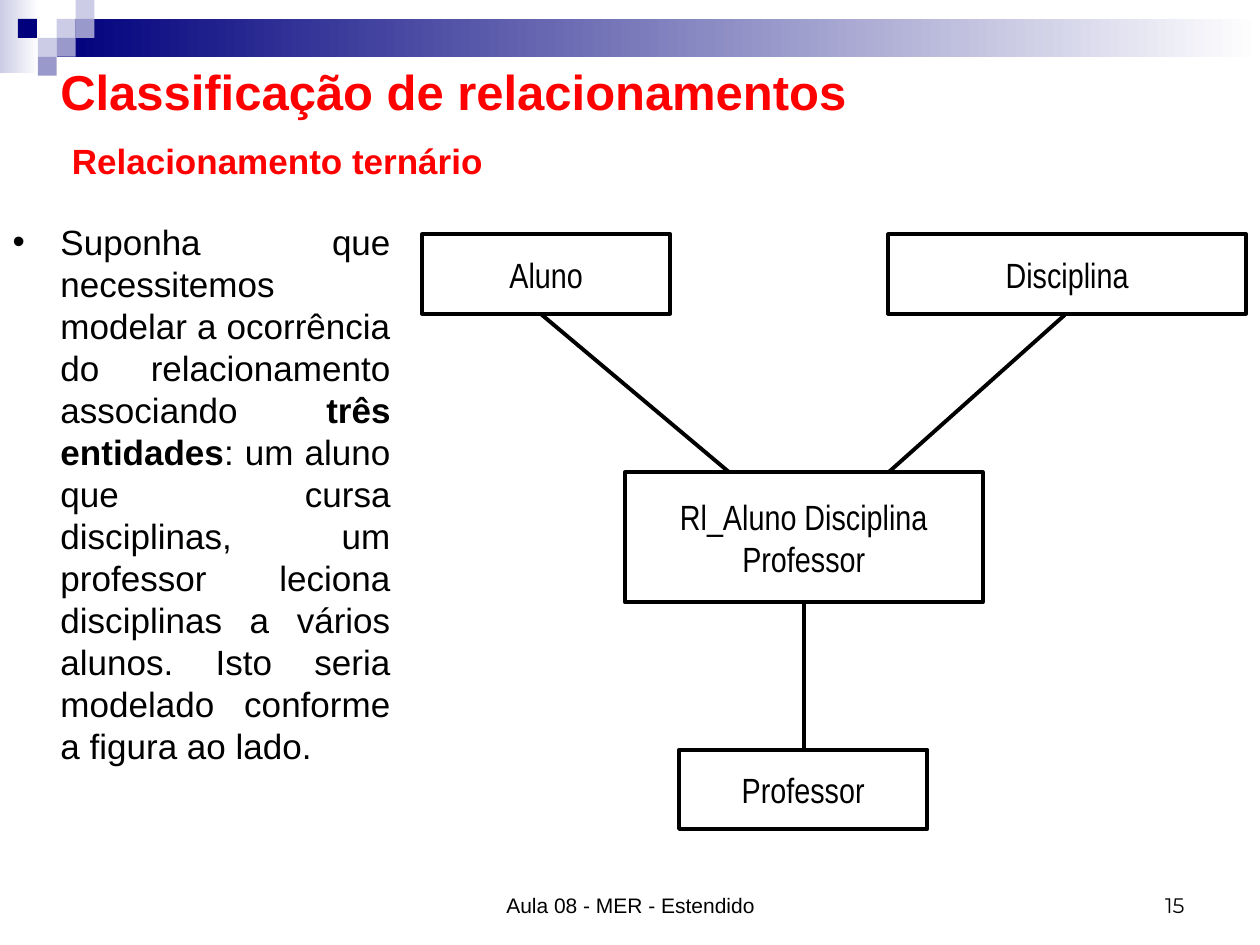
import pptx
import pptx.util
import pptx.dml.color
import pptx.enum.shapes
import pptx.enum.text
import pptx.oxml
import pptx.oxml.ns
import lxml.etree

Inches = pptx.util.Inches
Align = pptx.enum.text.PP_ALIGN
Anchor = pptx.enum.text.MSO_ANCHOR
RECTANGLE = pptx.enum.shapes.MSO_SHAPE.RECTANGLE
STRAIGHT = pptx.enum.shapes.MSO_CONNECTOR.STRAIGHT
BLACK, RED, WHITE = "000000", "FF0000", "FFFFFF"
NAVY, LILAC, VIOLET = "00007D", "CCCCE6", "9999CC"


def colour(value):
    return pptx.dml.color.RGBColor.from_string(value)


def apply(target, values):
    for name, value in values.items():
        setattr(target, name, value)


def place(item, box):
    apply(item, dict(zip(("left", "top", "width", "height"), map(Inches, box))))


def write(item, paragraphs, size, font="Arial", ink=BLACK, bold=False,
          align=Align.LEFT, anchor=Anchor.MIDDLE, spacing=1.0):
    frame = item.text_frame
    apply(frame, {
        "word_wrap": True, "auto_size": pptx.enum.text.MSO_AUTO_SIZE.NONE,
        "vertical_anchor": anchor,
        "margin_left": Inches(0.1), "margin_right": Inches(0.1),
        "margin_top": Inches(0.05), "margin_bottom": Inches(0.05),
    })
    for index, spans in enumerate(paragraphs):
        para = frame.paragraphs[0] if index == 0 else frame.add_paragraph()
        apply(para, {"alignment": align, "line_spacing": spacing,
                     "space_before": pptx.util.Pt(0)})
        for text, strong in spans:
            span = para.add_run()
            span.text = text
            apply(span.font, {"name": font, "size": pptx.util.Pt(size),
                              "bold": bold or strong})
            span.font.color.rgb = colour(ink)


def add_label(page, box, text, size, **style):
    label = page.shapes.add_textbox(*map(Inches, box))
    write(label, [[(text, False)]], size, **style)


def add_block(page, box, *tones):
    block = page.shapes.add_shape(RECTANGLE, *map(Inches, box))
    block.shadow.inherit = False
    block.line.fill.background()
    if len(tones) == 1:
        block.fill.solid()
        block.fill.fore_color.rgb = colour(tones[0])
    else:
        block.fill.gradient()
        block.fill.gradient_angle = 0
        for stop, tone in zip(block.fill.gradient_stops, tones):
            stop.color.rgb = colour(tone)


def add_banner(page, left, top):
    step = 0.15
    add_block(page, (left, top, 0.31, 0.58), LILAC, WHITE)
    add_block(page, (left + 3 * step, top + step, 9.55, 2 * step), NAVY, WHITE)
    tiles = [(3, 1, LILAC), (4, 0, LILAC), (4, 1, VIOLET), (2, 2, LILAC),
             (0.95, 1, NAVY), (3, 2, VIOLET), (2, 3, VIOLET)]
    for column, row, tone in tiles:
        add_block(page, (left + column * step, top + row * step, step, step), tone)


def add_entity(page, box, *names):
    entity = page.shapes.add_shape(RECTANGLE, *map(Inches, box))
    entity.shadow.inherit = False
    entity.fill.background()
    entity.line.color.rgb = colour(BLACK)
    entity.line.width = pptx.util.Pt(2.25)
    write(entity, [[(name, False)] for name in names], 20, font="Arial Narrow",
          align=Align.CENTER, spacing=1.01)


def add_link(page, start, end):
    link = page.shapes.add_connector(STRAIGHT, *map(Inches, start + end))
    link.line.color.rgb = colour(BLACK)
    link.line.width = pptx.util.Pt(2.25)
    lxml.etree.SubElement(link._element.spPr, pptx.oxml.ns.qn("a:effectLst"))


def add_diagram(page, left, top):
    def spot(x, y):
        return left + x, top + y

    small, wide = (1.97, 0.63), (2.84, 0.63)
    add_entity(page, spot(0, 0) + small, "Aluno")
    add_entity(page, spot(2.04, 4.09) + small, "Professor")
    for start, end in [((3.03, 2.92), (3.03, 4.08)),
                       ((0.94, 0.63), (2.44, 1.89)),
                       ((5.1, 0.64), (3.7, 1.89))]:
        add_link(page, spot(*start), spot(*end))
    add_entity(page, spot(3.7, 0) + wide, "Disciplina")
    add_entity(page, spot(1.61, 1.89) + (2.84, 1.03),
               "Rl_Aluno Disciplina", "Professor")


def fill_body(body, box):
    place(body, box)
    write(body, [[
        ("Suponha que necessitemos modelar a ocorrência do relacionamento associando ", False),
        ("três entidades", True),
        (": um aluno que cursa disciplinas, um professor leciona disciplinas a vários "
         "alunos. Isto seria modelado conforme a figura ao lado.", False),
    ]], 20, align=Align.JUSTIFY, anchor=Anchor.TOP)
    settings = body.text_frame.paragraphs[0]._p.get_or_add_pPr()
    settings.set("marL", str(Inches(0.38)))
    settings.set("indent", str(-Inches(0.38)))
    namespace = pptx.oxml.ns.nsdecls("a")
    for markup in (f'<a:buClr {namespace}><a:srgbClr val="{BLACK}"/></a:buClr>',
                   f'<a:buFont {namespace} typeface="Arial"/>',
                   f'<a:buChar {namespace} char="•"/>'):
        settings.append(pptx.oxml.parse_xml(markup))


def add_footer(page, top):
    add_label(page, (7.17, top, 2.33, 0.5), "15", 12, font="Montserrat",
              align=Align.RIGHT, anchor=Anchor.BOTTOM)
    add_label(page, (3.42, top, 3.17, 0.5), "Aula 08 - MER - Estendido", 12,
              align=Align.CENTER, anchor=Anchor.BOTTOM)


def build_relationship_page(deck):
    page = deck.slides.add_slide(deck.slide_layouts[1])
    add_banner(page, 0, 0)
    title = page.shapes.title
    place(title, (0.47, 0.87, 3.83, 0.81))
    write(title, [[("Relacionamento ternário", False)]], 20, ink=RED, bold=True)
    fill_body(page.placeholders[1], (0, 1.7, 3.2, 4.95))
    add_diagram(page, 3.35, 1.86)
    add_footer(page, 6.83)
    add_label(page, (0.38, 0.31, 6.59, 0.83), "Classificação de relacionamentos",
              28, ink=RED, bold=True)


deck = pptx.Presentation()
apply(deck, {"slide_width": Inches(10), "slide_height": Inches(7.5)})
build_relationship_page(deck)
deck.save("out.pptx")
